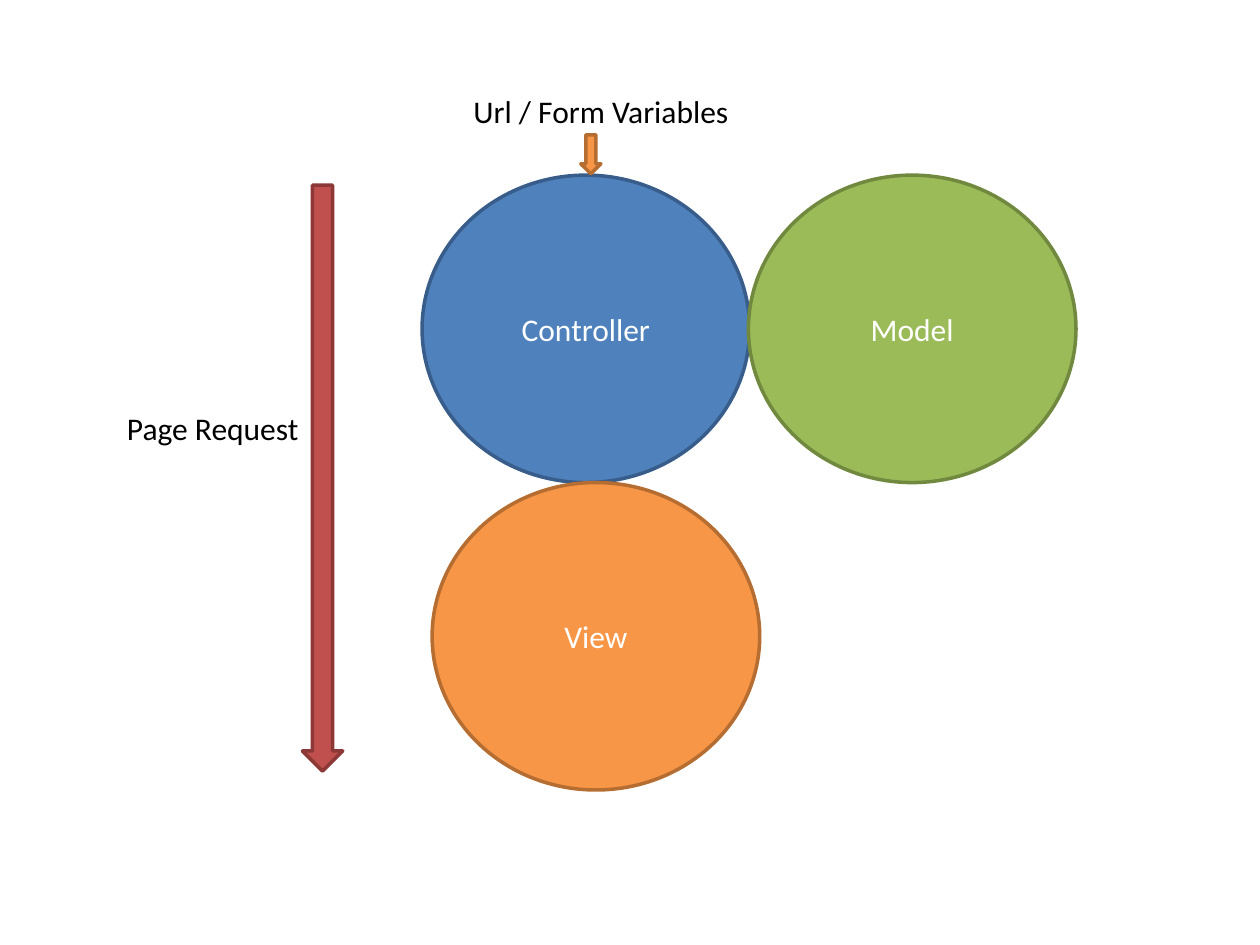
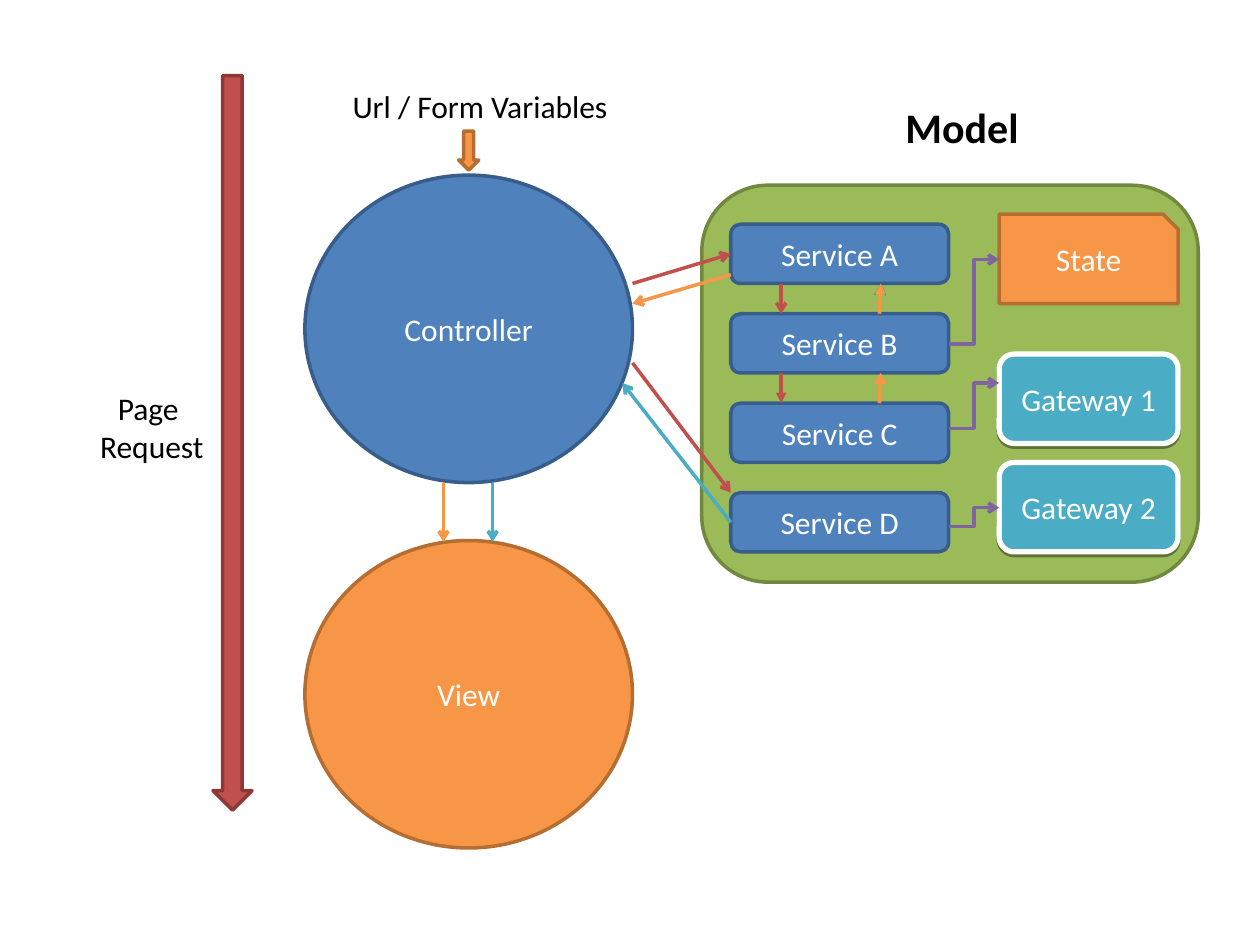
from lxml import etree
from pptx import Presentation
from pptx import util as u
from pptx.dml.color import RGBColor
from pptx.enum import shapes, text
from pptx.oxml import parse_xml
from pptx.oxml.ns import nsdecls, qn

BLUE, BLUE_EDGE = RGBColor(0x4F, 0x81, 0xBD), RGBColor(0x38, 0x5D, 0x8A)
GREEN, GREEN_EDGE = RGBColor(0x9B, 0xBB, 0x59), RGBColor(0x71, 0x89, 0x3F)
ORANGE, ORANGE_EDGE = RGBColor(0xF7, 0x96, 0x46), RGBColor(0xB6, 0x6D, 0x31)
RED, RED_EDGE = RGBColor(0xC0, 0x50, 0x4D), RGBColor(0x8C, 0x38, 0x36)
TEAL = RGBColor(0x4B, 0xAC, 0xC6)
PURPLE = RGBColor(0x80, 0x64, 0xA2)
THIN_BLUE = RGBColor(0x4A, 0x7E, 0xBB)
WHITE, BLACK = RGBColor(0xFF, 0xFF, 0xFF), RGBColor(0, 0, 0)
FONT = "Calibri"
KIND = shapes.MSO_SHAPE
CIRCLE_W, CIRCLE_H = 2.6, 2.44
STRAIGHT, BENT = shapes.MSO_CONNECTOR.STRAIGHT, shapes.MSO_CONNECTOR.ELBOW


def dress(shape, words="", fill=None, edge=None, weight=2, size=18, color=WHITE,
          bold=False, align=text.PP_ALIGN.CENTER, wrap=True):
    if fill is not None:
        shape.shadow.inherit = False
        shape.fill.solid()
        shape.fill.fore_color.rgb = fill
        shape.line.color.rgb = edge
        shape.line.width = u.Pt(weight)
    frame = shape.text_frame
    frame.word_wrap = wrap
    if fill is None:
        frame.auto_size = text.MSO_AUTO_SIZE.SHAPE_TO_FIT_TEXT
    else:
        frame.vertical_anchor = text.MSO_ANCHOR.MIDDLE
    for index, line in enumerate(words.split("\n") if words else []):
        para = frame.add_paragraph() if index else frame.paragraphs[0]
        para.alignment = align
        span = para.add_run()
        span.text = line
        span.font.name = FONT
        span.font.size = u.Pt(size)
        span.font.bold = bold
        span.font.color.rgb = color
    return shape


def link(page, start, end, color, kind=STRAIGHT, head="arrow", weight=2):
    line = page.shapes.add_connector(kind, *map(u.Inches, start + end))
    line.line.color.rgb = color
    line.line.width = u.Pt(weight)
    properties = line._element.spPr
    etree.SubElement(properties.find(qn("a:ln")), qn("a:tailEnd"), type=head)
    etree.SubElement(properties, qn("a:effectLst"))
    return line


deck = Presentation()
deck.slide_width, deck.slide_height = u.Inches(10), u.Inches(7.5)
overview, detail = [deck.slides.add_slide(deck.slide_layouts[6]) for _ in range(2)]

panel = detail.shapes.add_shape(KIND.ROUNDED_RECTANGLE, *map(u.Inches, (5.57, 1.47, 3.94, 3.15)))
dress(panel, fill=GREEN, edge=GREEN_EDGE)

services = []
for row, letter in enumerate("ABCD"):
    place = (5.8, 1.78 + 0.71 * row, 1.73, 0.47)
    box = detail.shapes.add_shape(KIND.ROUNDED_RECTANGLE, *map(u.Inches, place))
    services.append(dress(box, f"Service {letter}", BLUE, BLUE_EDGE))

for number, top in ((1, 2.81), (2, 3.67)):
    gateway = detail.shapes.add_shape(KIND.FLOWCHART_ALTERNATE_PROCESS,
                                      *map(u.Inches, (7.93, top, 1.42, 0.71)))
    dress(gateway, f"Gateway {number}", TEAL, WHITE, weight=3)
    gateway._element.spPr.find(qn("a:effectLst")).append(parse_xml(
        f'<a:outerShdw {nsdecls("a")} dist="20000" dir="5400000" rotWithShape="0">'
        '<a:srgbClr val="000000"><a:alpha val="38000"/></a:srgbClr></a:outerShdw>'))

outline = detail.shapes.build_freeform(u.Inches(7.93), u.Inches(1.7))
corners = ((9.23, 1.7), (9.35, 1.82), (9.35, 2.41), (7.93, 2.41))
outline.add_line_segments([(u.Inches(x), u.Inches(y)) for x, y in corners], close=True)
dress(outline.convert_to_shape(), "State", ORANGE, ORANGE_EDGE)

circles = (
    (overview, "Controller", 3.35, 1.39, BLUE, BLUE_EDGE),
    (overview, "Model", 5.94, 1.39, GREEN, GREEN_EDGE),
    (overview, "View", 3.43, 3.83, ORANGE, ORANGE_EDGE),
    (detail, "Controller", 2.42, 1.39, BLUE, BLUE_EDGE),
    (detail, "View", 2.42, 4.29, ORANGE, ORANGE_EDGE),
)
for page, name, left, top, fill, edge in circles:
    place = (left, top, CIRCLE_W, CIRCLE_H)
    dress(page.shapes.add_shape(KIND.OVAL, *map(u.Inches, place)), name, fill, edge)

block_arrows = (
    (overview, (2.4, 1.47, 0.32, 4.65), RED, RED_EDGE),
    (overview, (4.61, 1.07, 0.16, 0.31), ORANGE, ORANGE_EDGE),
    (detail, (1.69, 0.6, 0.31, 5.83), RED, RED_EDGE),
    (detail, (3.64, 1.04, 0.16, 0.31), ORANGE, ORANGE_EDGE),
)
for page, place, fill, edge in block_arrows:
    dress(page.shapes.add_shape(KIND.DOWN_ARROW, *map(u.Inches, place)), fill=fill, edge=edge)

left_label = dict(align=text.PP_ALIGN.LEFT, wrap=False)
labels = (
    (overview, "Page Request", (0.91, 3.2, 1.57, 0.4), left_label),
    (overview, "Url / Form Variables", (3.66, 0.68, 2.24, 0.4), left_label),
    (detail, "Page \nRequest", (0.69, 3.04, 1.03, 0.7), dict(wrap=False)),
    (detail, "Url / Form Variables", (2.7, 0.64, 2.24, 0.4), left_label),
    (detail, "Model", (6.81, 0.76, 1.65, 0.5), dict(size=24, bold=True)),
)
for page, words, place, style in labels:
    dress(page.shapes.add_textbox(*map(u.Inches, place)), words, color=BLACK, **style)

call_a = link(detail, (5.02, 2.25), (5.8, 2.02), RED)
call_a.end_connect(services[0], 1)
link(detail, (5.8, 2.18), (5.02, 2.41), ORANGE)
link(detail, (5.02, 2.88), (5.8, 3.91), RED)
reply_d = link(detail, (5.8, 4.14), (4.94, 3.04), TEAL)
reply_d.begin_connect(services[3], 1)

link(detail, (6.98, 2.49), (6.99, 2.25), THIN_BLUE, weight=0.75)
for top, down_head, up_head in ((2.25, "arrow", "triangle"), (2.96, "triangle", "arrow")):
    bottom = top + 0.24
    link(detail, (6.2, top), (6.2, bottom), RED, head=down_head)
    link(detail, (6.98, bottom), (6.99, top), ORANGE, head=up_head)

for start_y, end_y in ((2.73, 2.06), (3.4, 3.04), (4.18, 4.03)):
    link(detail, (7.53, start_y), (7.93, end_y), PURPLE, kind=BENT)

for x, color in ((3.52, ORANGE), (3.91, TEAL)):
    link(detail, (x, 3.83), (x, 4.3), color)

deck.save("out.pptx")
